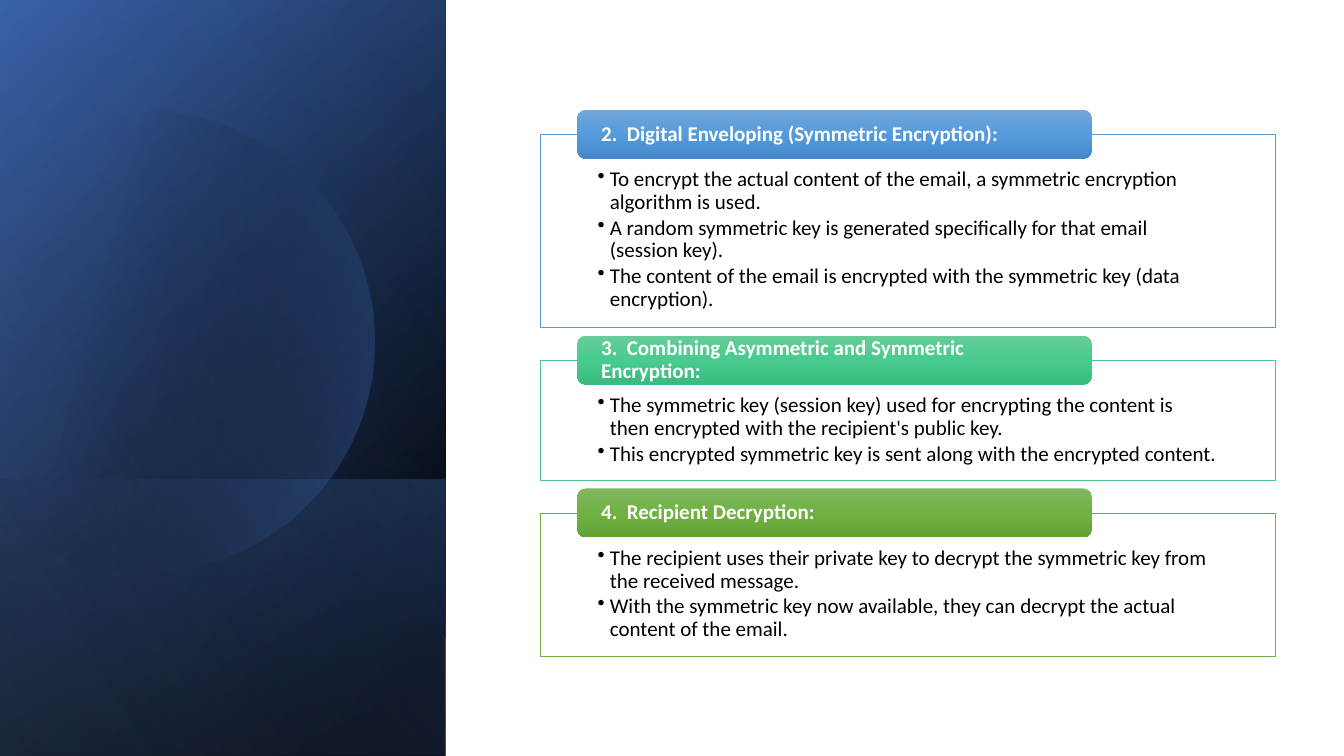
"""Build the slide on email encryption steps 2 to 4."""
import math

import pptx
import pptx.dml.color
import pptx.enum.shapes
import pptx.enum.text
import pptx.oxml.ns
import pptx.util
from lxml import etree

Cm, Pt = pptx.util.Cm, pptx.util.Pt
RGB = pptx.dml.color.RGBColor
SHAPES = pptx.enum.shapes.MSO_SHAPE
ALIGN = pptx.enum.text.PP_ALIGN
ANCHOR = pptx.enum.text.MSO_ANCHOR
qn = pptx.oxml.ns.qn

BLACK = RGB(0x00, 0x00, 0x00)
WHITE = RGB(0xFF, 0xFF, 0xFF)
NAVY = RGB(0x2F, 0x55, 0x97)
BLUE = RGB(0x44, 0x72, 0xC4)
PALE_BLUE = RGB(0x8F, 0xAA, 0xDC)
STEP_BLUE = RGB(0x5B, 0x9B, 0xD5)
STEP_TEAL = RGB(0x4D, 0xC5, 0x8D)
STEP_GREEN = RGB(0x70, 0xAD, 0x47)
BLUE_SHADES = RGB(0x71, 0xA6, 0xDB), RGB(0x55, 0x9B, 0xDB), RGB(0x44, 0x8A, 0xCA)
TEAL_SHADES = RGB(0x67, 0xCC, 0x9A), RGB(0x47, 0xCB, 0x8E), RGB(0x39, 0xBB, 0x7F)
GREEN_SHADES = RGB(0x81, 0xB8, 0x61), RGB(0x6F, 0xB2, 0x42), RGB(0x62, 0xA3, 0x36)

STEPS = [
    ("2.  Digital Enveloping (Symmetric Encryption):", 4.86, STEP_BLUE, BLUE_SHADES, [
        "To encrypt the actual content of the email, a symmetric encryption algorithm is used.",
        "A random symmetric key is generated specifically for that email (session key).",
        "The content of the email is encrypted with the symmetric key (data encryption).",
    ]),
    ("3.  Combining Asymmetric and Symmetric Encryption:", 3.02, STEP_TEAL, TEAL_SHADES, [
        "The symmetric key (session key) used for encrypting the content is then "
        "encrypted with the recipient's public key.",
        "This encrypted symmetric key is sent along with the encrypted content.",
    ]),
    ("4.  Recipient Decryption:", 3.6, STEP_GREEN, GREEN_SHADES, [
        "The recipient uses their private key to decrypt the symmetric key from "
        "the received message.",
        "With the symmetric key now available, they can decrypt the actual content of the email.",
    ]),
]

SLIDE_WIDTH, SLIDE_HEIGHT = 33.87, 19.05
PANEL_WIDTH, FOOT_HEIGHT = 11.23, 6.96
BACK_PANELS = [
    (SLIDE_HEIGHT, [(8, BLACK, 100), (100, NAVY, 100)], 50),
    (SLIDE_HEIGHT, [(0, BLACK, 0), (99, BLUE, 46)], 30),
    (FOOT_HEIGHT, [(2, BLUE, 29), (100, BLACK, 30)], 130),
]
FRONT_PANEL = (SLIDE_HEIGHT, [(0, BLACK, 0), (99, PALE_BLUE, 11)], 120)
DISC_X, DISC_Y, DISC_RADIUS = 3.63, 8.6, 5.82
DISC_GLOW = [(29, BLACK, 0), (100, BLUE, 43)]
DISC_POINTS = 120

BOX_LEFT, BOX_WIDTH, FIRST_TOP, BOX_GAP = 13.61, 18.52, 3.39, 0.83
HEADING_LEFT, HEADING_WIDTH, HEADING_HEIGHT, HEADING_RISE = 14.55, 12.96, 1.23, 0.62
HANGING = 0.31

HEADING_FRAME = dict(word_wrap=True, vertical_anchor=ANCHOR.MIDDLE, margin_left=Cm(0.54),
                     margin_right=Cm(0.54), margin_top=0, margin_bottom=0)
BODY_FRAME = dict(word_wrap=True, vertical_anchor=ANCHOR.TOP, margin_left=Cm(1.45),
                  margin_right=Cm(1.45), margin_top=Cm(0.86), margin_bottom=Cm(0.3))
HEADING_PARAGRAPH = dict(alignment=ALIGN.LEFT, line_spacing=0.9)
BODY_PARAGRAPH = dict(HEADING_PARAGRAPH, level=1, space_after=Pt(2.25))
HEADING_FONT = dict(name="Calibri", size=Pt(15), bold=True)
BODY_FONT = dict(HEADING_FONT, bold=False)


def apply(target, values):
    """Set each attribute in values on target."""
    for name, value in values.items():
        setattr(target, name, value)


def shade(shape, stops, angle):
    """Fill a shape with a linear gradient of (position, colour, opacity) stops."""
    shape.shadow.inherit = False
    shape.line.fill.background()
    shape.fill.gradient()
    gradient = shape._element.spPr.find(qn("a:gradFill"))
    stop_list = gradient.find(qn("a:gsLst"))
    for old in list(stop_list):
        stop_list.remove(old)
    for position, colour, opacity in stops:
        stop = etree.SubElement(stop_list, qn("a:gs"), pos=str(position * 1000))
        tint = etree.SubElement(stop, qn("a:srgbClr"), val=str(colour))
        etree.SubElement(tint, qn("a:alpha"), val=str(opacity * 1000))
    gradient.find(qn("a:lin")).set("ang", str(angle * 60000))


def add_panel(shapes, height, stops, angle):
    """Add a turned, mirrored panel that stands on the bottom edge at the left."""
    left = (PANEL_WIDTH - height) / 2
    top = SLIDE_HEIGHT - (height + PANEL_WIDTH) / 2
    panel = shapes.add_shape(SHAPES.RECTANGLE, Cm(left), Cm(top), Cm(height), Cm(PANEL_WIDTH))
    panel.rotation = 90
    panel._element.spPr.find(qn("a:xfrm")).set("flipH", "1")
    shade(panel, stops, angle)


def add_disc(shapes):
    """Add the disc that the left slide edge cuts off."""
    reach = math.acos(-DISC_X / DISC_RADIUS)
    angles = [reach * (2 * i / DISC_POINTS - 1) for i in range(DISC_POINTS + 1)]
    rim = [(Cm(DISC_X + DISC_RADIUS * math.cos(a)), Cm(DISC_Y + DISC_RADIUS * math.sin(a)))
           for a in angles]
    outline = shapes.build_freeform(*rim[0])
    outline.add_line_segments(rim[1:], close=True)
    shade(outline.convert_to_shape(), DISC_GLOW, 14)


def write(paragraph, text, layout, font, colour):
    """Write one formatted run into a paragraph."""
    apply(paragraph, layout)
    run = paragraph.add_run()
    run.text = text
    apply(run.font, font)
    run.font.color.rgb = colour


def add_step(shapes, top, heading, height, accent, shades, points):
    """Add a step's outlined box of bullets and its heading tab."""
    box = shapes.add_shape(SHAPES.RECTANGLE, Cm(BOX_LEFT), Cm(top), Cm(BOX_WIDTH), Cm(height))
    box.shadow.inherit = False
    box.fill.solid()
    box.fill.fore_color.rgb = WHITE
    box.line.color.rgb = accent
    box.line.width = Pt(0.5)
    apply(box.text_frame, BODY_FRAME)
    for index, point in enumerate(points):
        paragraph = box.text_frame.add_paragraph() if index else box.text_frame.paragraphs[0]
        write(paragraph, point, BODY_PARAGRAPH, BODY_FONT, BLACK)
        properties = paragraph._p.get_or_add_pPr()
        properties.set("marL", str(Cm(HANGING)))
        properties.set("indent", str(-Cm(HANGING)))
        etree.SubElement(properties, qn("a:buChar"), char="•")

    tab = shapes.add_shape(SHAPES.ROUNDED_RECTANGLE, Cm(HEADING_LEFT), Cm(top - HEADING_RISE),
                           Cm(HEADING_WIDTH), Cm(HEADING_HEIGHT))
    shade(tab, [(50 * i, colour, 100) for i, colour in enumerate(shades)], 90)
    apply(tab.text_frame, HEADING_FRAME)
    write(tab.text_frame.paragraphs[0], heading, HEADING_PARAGRAPH, HEADING_FONT, WHITE)


def main():
    """Build and save the slide."""
    deck = pptx.Presentation()
    deck.slide_width, deck.slide_height = Cm(SLIDE_WIDTH), Cm(SLIDE_HEIGHT)
    shapes = deck.slides.add_slide(deck.slide_layouts[6]).shapes
    for panel in BACK_PANELS:
        add_panel(shapes, *panel)
    add_disc(shapes)
    add_panel(shapes, *FRONT_PANEL)
    top = FIRST_TOP
    for heading, height, accent, shades, points in STEPS:
        add_step(shapes, top, heading, height, accent, shades, points)
        top += height + BOX_GAP
    deck.save("out.pptx")


if __name__ == "__main__":
    main()
